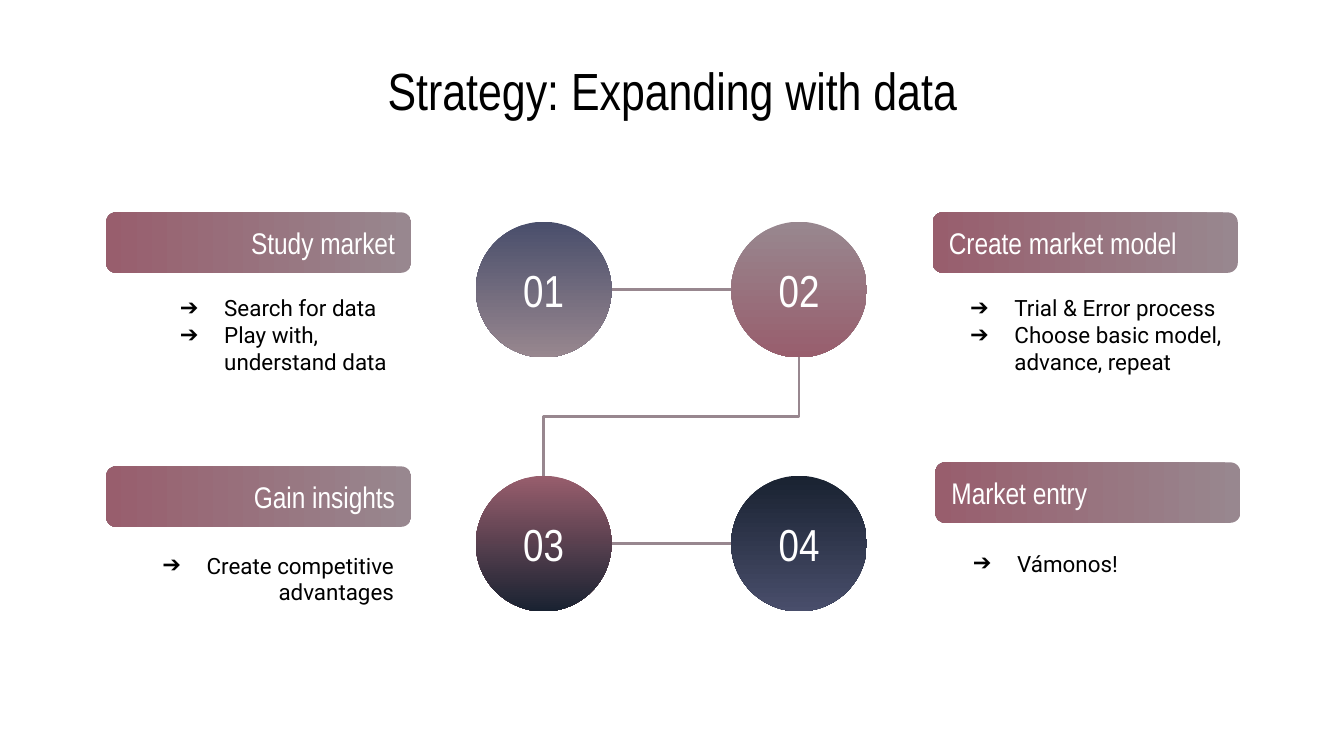
from lxml.etree import SubElement
from pptx import Presentation
from pptx.dml.color import RGBColor
from pptx.enum.shapes import MSO_CONNECTOR, MSO_SHAPE
from pptx.enum.text import MSO_ANCHOR, PP_ALIGN
from pptx.oxml.ns import qn
from pptx.util import Inches, Pt

HEADING_FONT, BODY_FONT = "Arial Narrow", "Roboto"
BLACK, WHITE = "000000", "FFFFFF"
NAVY, INDIGO, MAUVE, ROSE = "192231", "494E6B", "98878F", "985E6D"
DIAMETER = 1.01
COLUMNS, ROWS = (3.54, 5.44), (1.65, 3.54)
LEFT, CENTER, RIGHT = PP_ALIGN.LEFT, PP_ALIGN.CENTER, PP_ALIGN.RIGHT


def paint(color, value):
    color.rgb = RGBColor.from_string(value)


def add_bullet(paragraph):
    props = paragraph._p.get_or_add_pPr()
    props.set("marL", str(Inches(0.5)))
    props.set("indent", str(Inches(-0.33)))
    tint = SubElement(props, qn("a:buClr"))
    SubElement(tint, qn("a:srgbClr"), val=BLACK)
    SubElement(props, qn("a:buFont"), typeface=BODY_FONT)
    SubElement(props, qn("a:buChar"), char="➔")


def write(shape, *lines, size=12, font=BODY_FONT, color=BLACK, align=LEFT,
          anchor=MSO_ANCHOR.MIDDLE, bullets=False):
    frame = shape.text_frame
    frame.word_wrap = True
    frame.vertical_anchor = anchor
    frame.margin_left = frame.margin_right = Inches(0.1)
    frame.margin_top = frame.margin_bottom = Inches(0.1)
    for index, line in enumerate(lines):
        paragraph = frame.add_paragraph() if index else frame.paragraphs[0]
        paragraph.alignment = align
        if bullets:
            add_bullet(paragraph)
        run = paragraph.add_run()
        run.text = line
        run.font.size = Pt(size)
        run.font.name = font
        paint(run.font.color, color)


def add_text(slide, box, *lines, **style):
    write(slide.shapes.add_textbox(*map(Inches, box)), *lines, **style)


def add_gradient_shape(slide, kind, box, colors, angle):
    shape = slide.shapes.add_shape(kind, *map(Inches, box))
    shape.shadow.inherit = False
    shape.line.fill.background()
    shape.fill.gradient()
    shape.fill.gradient_angle = angle
    for stop, color in zip(shape.fill.gradient_stops, colors):
        paint(stop.color, color)
    return shape


def add_step(slide, number, left, top, colors):
    circle = add_gradient_shape(slide, MSO_SHAPE.OVAL,
                                (left, top, DIAMETER, DIAMETER), colors, 270)
    write(circle, number, size=24, font=HEADING_FONT, color=WHITE, align=CENTER)


def add_banner(slide, left, top, label, align):
    banner = add_gradient_shape(slide, MSO_SHAPE.ROUNDED_RECTANGLE,
                                (left, top, 2.27, 0.45), (MAUVE, ROSE), 180)
    write(banner, label, size=16, font=HEADING_FONT, color=WHITE, align=align)


def add_link(slide, kind, start, end):
    link = slide.shapes.add_connector(kind, *map(Inches, start + end))
    link.line.width = Pt(1.5)
    paint(link.line.color, MAUVE)
    SubElement(link._element.spPr, qn("a:effectLst"))
    return link


def add_vertical_elbow(slide, start, end):
    middle_x, middle_y = (start[0] + end[0]) / 2, (start[1] + end[1]) / 2
    half_x, half_y = abs(end[0] - start[0]) / 2, abs(end[1] - start[1]) / 2
    elbow = add_link(slide, MSO_CONNECTOR.ELBOW,
                     (middle_x - half_y, middle_y - half_x),
                     (middle_x + half_y, middle_y + half_x))
    elbow._element.spPr.find(qn("a:xfrm")).set("rot", str(90 * 60000))


def main():
    deck = Presentation()
    deck.slide_width = Inches(10)
    deck.slide_height = deck.slide_width * 9 // 16
    slide = deck.slides.add_slide(deck.slide_layouts[6])

    add_text(slide, (0.34, 0.33, 9.32, 0.54), "Strategy: Expanding with data",
             size=28, font=HEADING_FONT, align=CENTER, anchor=MSO_ANCHOR.TOP)

    gradients = [(INDIGO, MAUVE), (MAUVE, ROSE), (ROSE, NAVY), (NAVY, INDIGO)]
    for index, colors in enumerate(gradients):
        row, column = divmod(index, 2)
        add_step(slide, f"{index + 1:02}", COLUMNS[column], ROWS[row], colors)

    radius = DIAMETER / 2
    for top in ROWS:
        add_link(slide, MSO_CONNECTOR.STRAIGHT,
                 (COLUMNS[0] + DIAMETER, top + radius),
                 (COLUMNS[1], top + radius))
    add_vertical_elbow(slide, (COLUMNS[1] + radius, ROWS[0] + DIAMETER),
                       (COLUMNS[0] + radius, ROWS[1]))

    for left, top, label, align in [
        (0.79, 1.58, "Study market", RIGHT),
        (6.94, 1.58, "Create market model", LEFT),
        (0.79, 3.47, "Gain insights", RIGHT),
        (6.96, 3.44, "Market entry", LEFT),
    ]:
        add_banner(slide, left, top, label, align)

    for box, align, lines in [
        ((1.07, 2.05, 1.97, 0.88), LEFT,
         ["Search for data", "Play with, understand data"]),
        ((6.95, 2.05, 2.27, 0.88), LEFT,
         ["Trial & Error process", "Choose basic model, advance, repeat"]),
        ((0.84, 3.95, 2.19, 0.71), RIGHT, ["Create competitive advantages"]),
        ((6.97, 3.92, 2.26, 0.54), LEFT, ["Vámonos!"]),
    ]:
        add_text(slide, box, *lines, align=align, bullets=True)

    deck.save("out.pptx")


if __name__ == "__main__":
    main()
